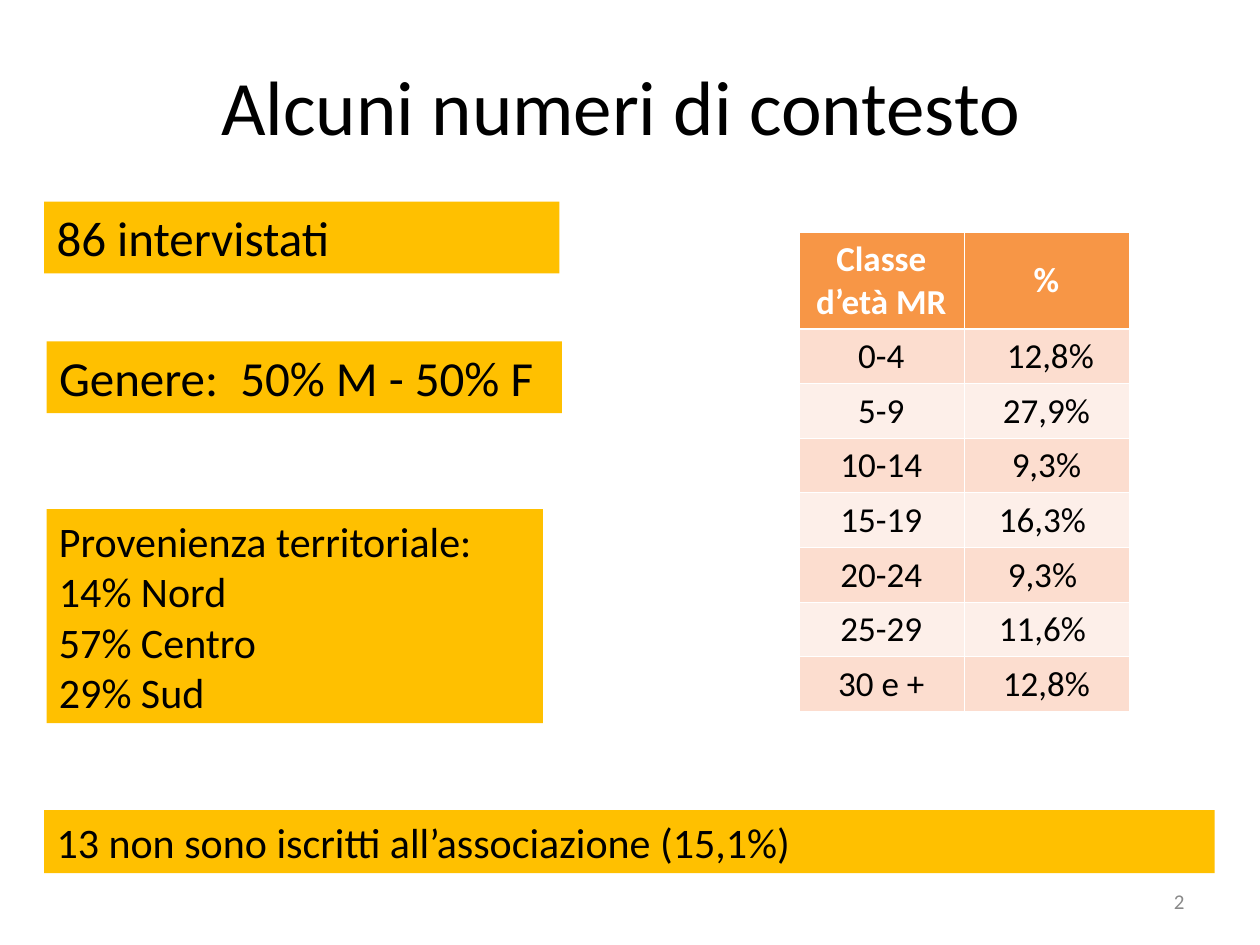
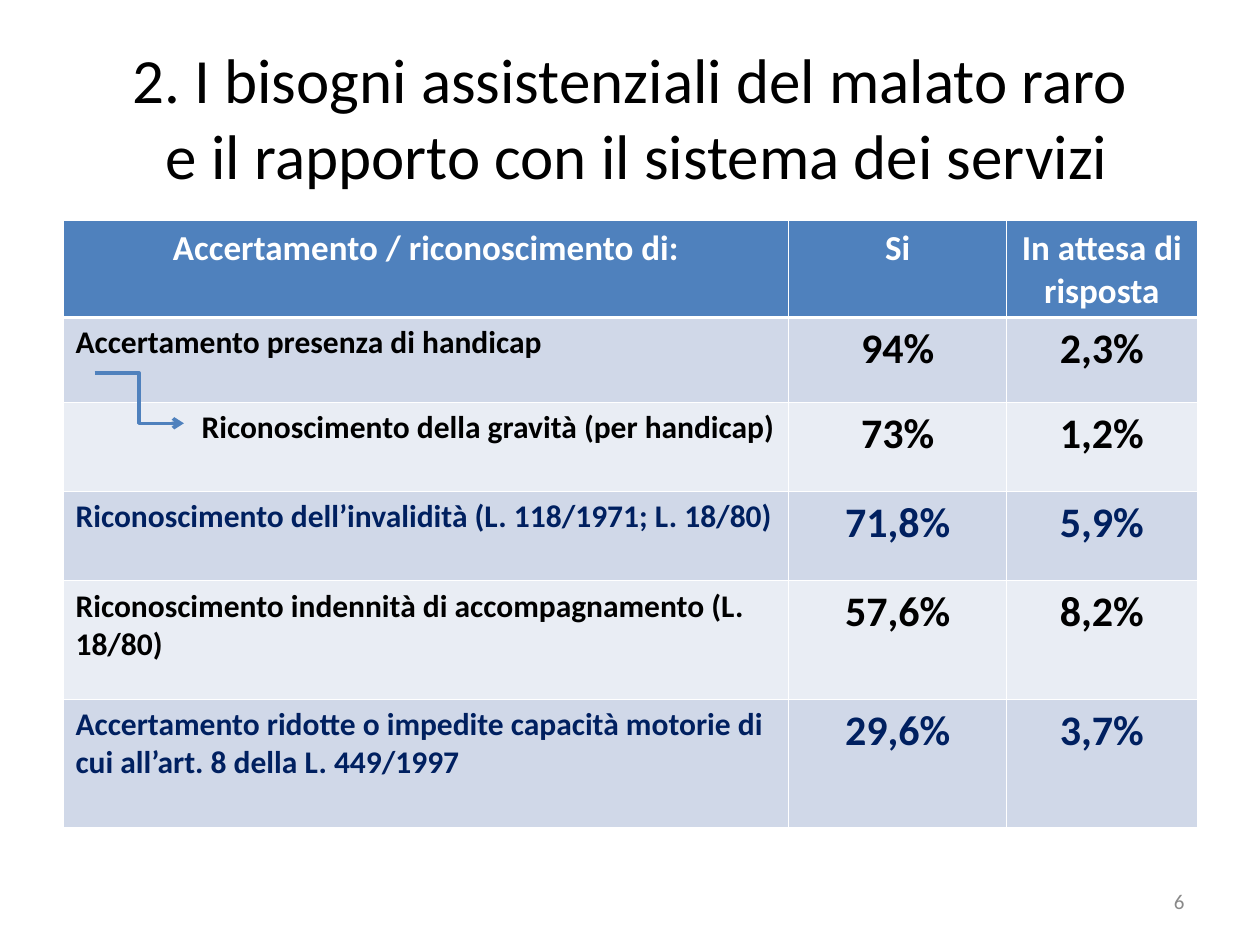
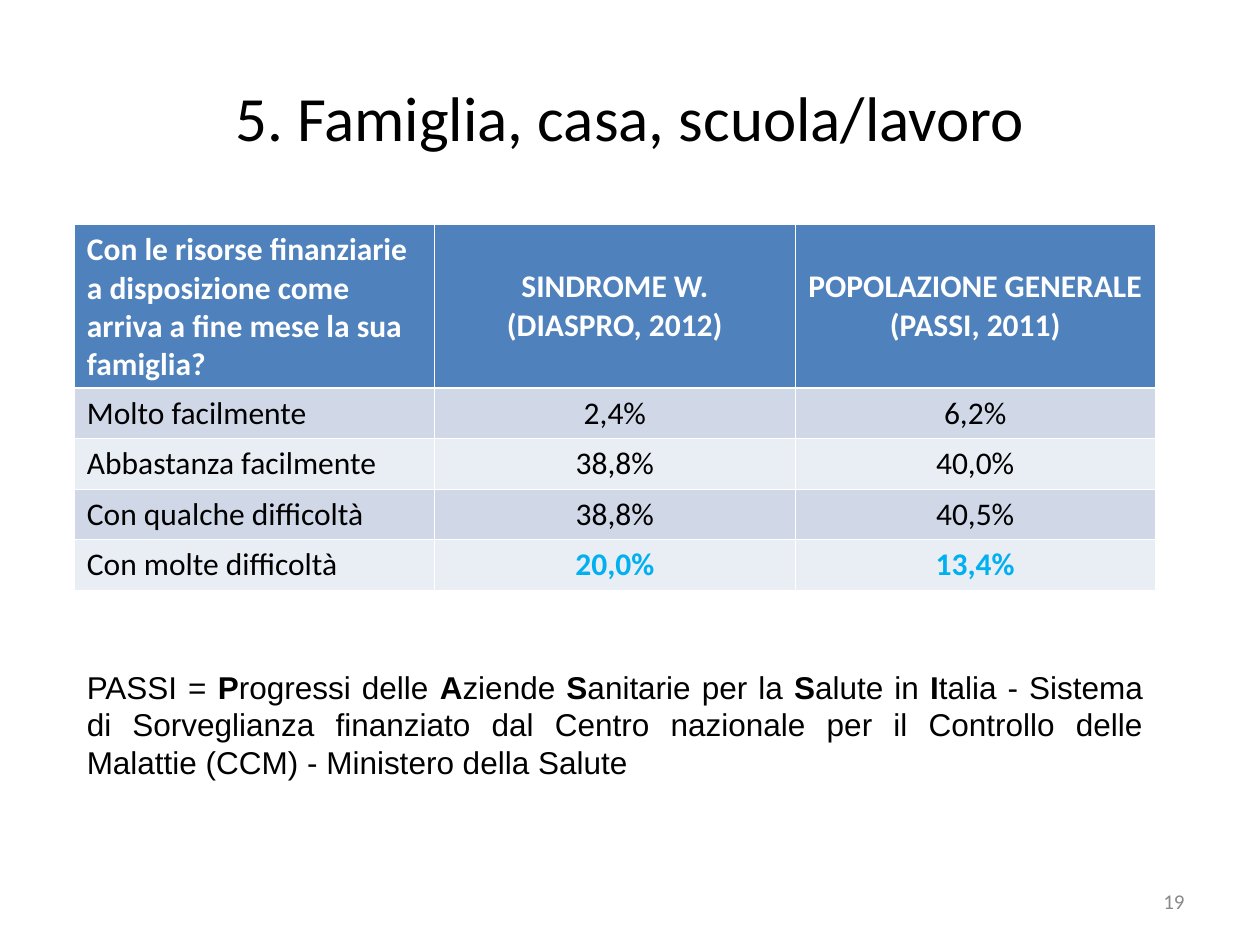
import dataclasses

import pptx
import pptx.dml.color
import pptx.enum.shapes
import pptx.enum.text
import pptx.oxml.ns
import pptx.util
from lxml import etree

Inches = pptx.util.Inches
Pt = pptx.util.Pt
Align = pptx.enum.text.PP_ALIGN
Anchor = pptx.enum.text.MSO_ANCHOR
qn = pptx.oxml.ns.qn


@dataclasses.dataclass
class Theme:
    font: str = "Calibri"
    note_font: str = "Arial"
    black: str = "000000"
    white: str = "FFFFFF"
    grey: str = "898989"
    gold: str = "FFC000"
    blue: str = "4F81BD"
    navy: str = "002060"
    cyan: str = "00B0F0"
    # header, odd rows, even rows
    warm: tuple = ("F79646", "FCDDCF", "FDEFE9")
    cool: tuple = ("4F81BD", "D0D8E8", "E9EDF4")
    title: int = 44
    head: int = 36
    big: int = 28
    mid: int = 24
    cell: int = 20
    small: int = 18
    foot: int = 12


theme = Theme()


def rgb(code):
    return pptx.dml.color.RGBColor.from_string(code)


def write(frame, paras, size, color=theme.black, align=Align.LEFT,
          bold=False, font=theme.font):
    """Fill a frame; a newline breaks the line, *stars* mark bold runs."""
    frame.word_wrap = True
    for i, text in enumerate(paras):
        para = frame.add_paragraph() if i else frame.paragraphs[0]
        para.alignment = align
        for j, line in enumerate(text.split("\n")):
            if j:
                para.add_line_break()
            for k, part in enumerate(line.split("*")):
                run = para.add_run()
                run.text = part
                run.font.name = font
                run.font.size = Pt(size)
                run.font.bold = bold or k % 2 == 1
                run.font.color.rgb = rgb(color)


deck = pptx.Presentation()
deck.slide_width = Inches(10)
deck.slide_height = Inches(7.5)

# Titles and page numbers
heads = [
    ("Alcuni numeri di contesto", theme.title, 0.43, 0.21, "2"),
    ("2. I bisogni assistenziali del malato raro\n"
     " e il rapporto con il sistema dei servizi", theme.head, 0.5, 0.3, "6"),
    ("5. Famiglia, casa, scuola/lavoro", theme.head, 0.5, 0.3, "19"),
]
slides = []
for text, size, left, top, number in heads:
    slide = deck.slides.add_slide(deck.slide_layouts[5])
    title = slide.shapes.title
    title.left, title.top = Inches(left), Inches(top)
    title.width, title.height = Inches(9), Inches(1.25)
    title.text_frame.auto_size = pptx.enum.text.MSO_AUTO_SIZE.NONE
    title.text_frame.vertical_anchor = Anchor.MIDDLE
    write(title.text_frame, [text], size, align=Align.CENTER)
    foot = slide.shapes.add_textbox(
        Inches(7.17), Inches(6.95), Inches(2.33), Inches(0.4))
    foot.text_frame.vertical_anchor = Anchor.MIDDLE
    write(foot.text_frame, [number], theme.foot, theme.grey, Align.RIGHT)
    slides.append(slide)
context, needs, family = slides

# Gold fact boxes
facts = [
    (0.35, 1.6, 4.09, 0.57, theme.big, ["86 intervistati"]),
    (0.37, 2.71, 4.09, 0.57, theme.big, ["Genere:  50% M - 50% F"]),
    (0.37, 4.04, 3.94, 1.7, theme.mid,
     ["Provenienza territoriale: 14% Nord", "57% Centro", "29% Sud"]),
    (0.35, 6.43, 9.29, 0.5, theme.mid,
     ["13 non sono iscritti all’associazione (15,1%)"]),
]
for left, top, width, height, size, paras in facts:
    box = context.shapes.add_shape(
        pptx.enum.shapes.MSO_SHAPE.RECTANGLE,
        Inches(left), Inches(top), Inches(width), Inches(height))
    box.shadow.inherit = False
    box.fill.solid()
    box.fill.fore_color.rgb = rgb(theme.gold)
    box.line.fill.background()
    box.text_frame.vertical_anchor = Anchor.TOP
    write(box.text_frame, paras, size)

# Tables
ages = [
    ("Classe d’età MR", "%"),
    ("0-4", " 12,8%"),
    ("5-9", "27,9%"),
    ("10-14", "9,3%"),
    ("15-19", "16,3% "),
    ("20-24", "9,3% "),
    ("25-29", "11,6% "),
    ("30 e +", "12,8%"),
]
rights = [
    ("Accertamento / riconoscimento di:", "Si", "In attesa di risposta"),
    ("Accertamento presenza di handicap", "94%", "2,3%"),
    ("Riconoscimento della gravità (per handicap)", "73%", "1,2%"),
    ("Riconoscimento dell’invalidità (L. 118/1971; L. 18/80)",
     "71,8%", "5,9%"),
    ("Riconoscimento indennità di accompagnamento (L. 18/80)",
     "57,6%", "8,2%"),
    ("Accertamento ridotte o impedite capacità motorie di cui "
     "all’art. 8 della L. 449/1997", "29,6%", "3,7%"),
]
means = [
    ("Con le risorse finanziarie a disposizione come arriva a fine mese "
     "la sua famiglia?", "SINDROME W.¶(DIASPRO, 2012)",
     "POPOLAZIONE GENERALE¶(PASSI, 2011)"),
    ("Molto facilmente", "2,4%", "6,2%"),
    ("Abbastanza facilmente", "38,8%", "40,0%"),
    ("Con qualche difficoltà", "38,8%", "40,5%"),
    ("Con molte difficoltà", "20,0%", "13,4%"),
]
grids = [
    (context, ages, 6.34, 1.84, [1.31] * 2, [0.77] + [0.43] * 7, theme.warm),
    (needs, rights, 0.5, 1.75, [5.76, 1.73, 1.51],
     [0.77, 0.67, 0.71, 0.71, 0.94, 1.02], theme.cool),
    (family, means, 0.59, 1.78, [2.86] * 3, [1.3] + [0.4] * 4, theme.cool),
]
for slide, data, left, top, cols, rows, fills in grids:
    table = slide.shapes.add_table(
        len(rows), len(cols), Inches(left), Inches(top),
        Inches(sum(cols)), Inches(sum(rows))).table
    for col, width in zip(table.columns, cols):
        col.width = Inches(width)
    for row, height in zip(table.rows, rows):
        row.height = Inches(height)
    for r, texts in enumerate(data):
        for c, text in enumerate(texts):
            cell = table.cell(r, c)
            props = cell._tc.get_or_add_tcPr()
            for side in "LRTB":
                thick = (r, side) in ((0, "B"), (1, "T"))
                edge = etree.SubElement(props, qn("a:ln" + side),
                                        w=str(Pt(1.47 if thick else 0.45)))
                paint = etree.SubElement(edge, qn("a:solidFill"))
                etree.SubElement(paint, qn("a:srgbClr"), val=theme.white)
            cell.fill.solid()
            cell.fill.fore_color.rgb = rgb(
                fills[0] if r == 0 else fills[2 - r % 2])
            if r == 0 and slide is not needs:
                cell.vertical_anchor = Anchor.MIDDLE

            size = theme.small if slide is family else theme.cell
            color = theme.black if r else theme.white
            bold = r == 0 or slide is needs
            label = c == 0 and (slide is family or slide is needs and r > 0)
            if slide is needs and r > 0:
                size = theme.mid if c else theme.small
                if r in (3, 5):
                    color = theme.navy
            if slide is family and r == 4 and c > 0:
                color, bold = theme.cyan, True
            write(cell.text_frame, text.split("¶"), size, color,
                  Align.LEFT if label else Align.CENTER, bold)
            if slide is needs and (r, c) == (2, 0):
                para = cell.text_frame.paragraphs[0]
                para.level = 2
                para._p.get_or_add_pPr().set("marL", str(Inches(1)))

# Arrow from handicap to its severity
arrow = needs.shapes.add_connector(
    pptx.enum.shapes.MSO_CONNECTOR.ELBOW,
    Inches(0.75), Inches(2.96), Inches(1.46), Inches(3.36))
arrow.line.color.rgb = rgb(theme.blue)
arrow.line.width = Pt(2)
etree.SubElement(arrow.line._get_or_add_ln(), qn("a:tailEnd"), type="arrow")
etree.SubElement(arrow._element.spPr, qn("a:effectLst"))

# Source note
note = family.shapes.add_textbox(
    Inches(0.59), Inches(5.25), Inches(8.58), Inches(1))
write(note.text_frame, [
    "PASSI = *P*rogressi delle *A*ziende *S*anitarie per la *S*alute in "
    "*I*talia - Sistema di Sorveglianza finanziato dal Centro nazionale per "
    "il Controllo delle Malattie (CCM) - Ministero della Salute"],
    theme.small, align=Align.JUSTIFY, font=theme.note_font)

deck.save("out.pptx")
